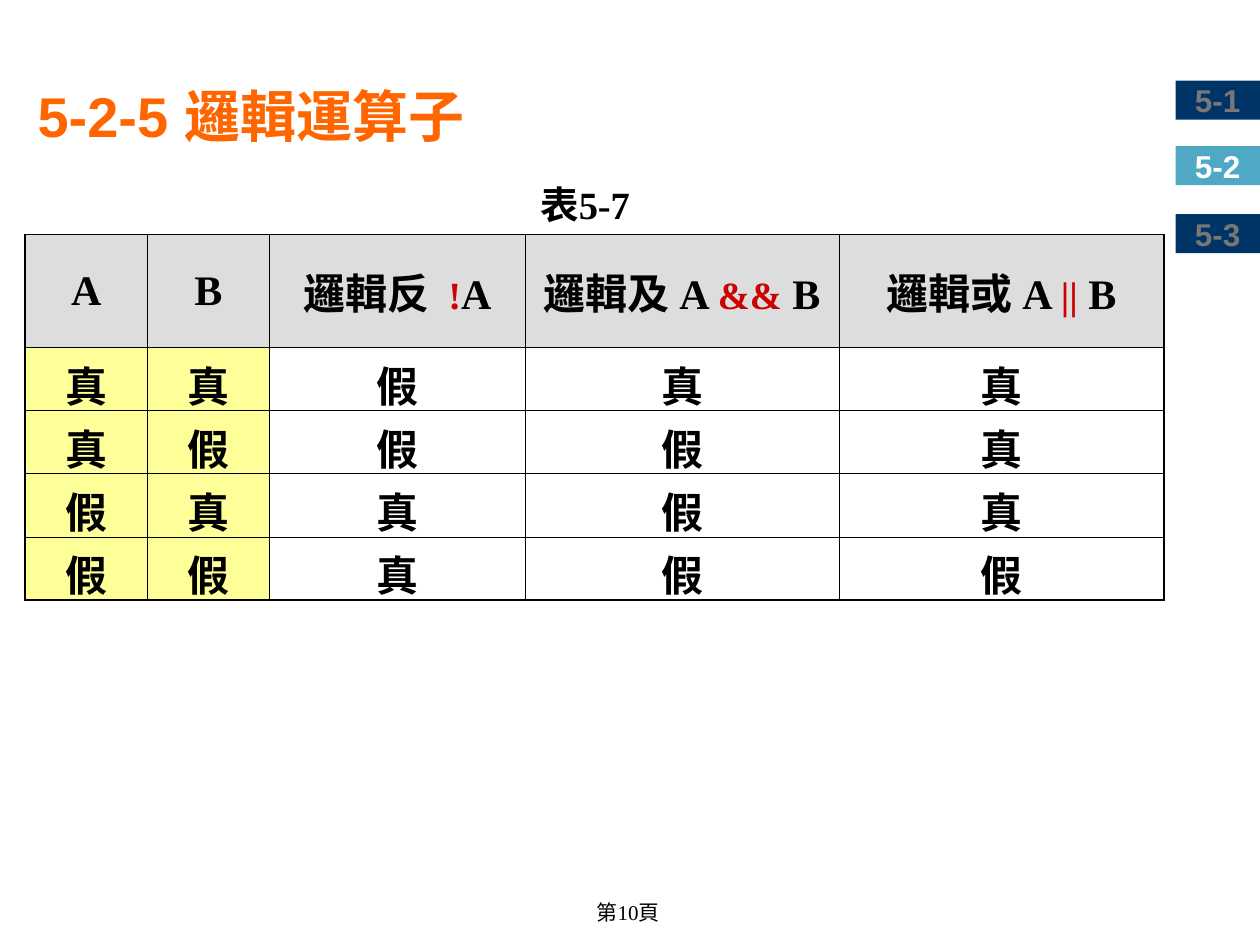
from lxml import etree
from pptx import Presentation
from pptx import util as u
from pptx.dml.color import RGBColor
from pptx.enum import shapes, text
from pptx.oxml.ns import qn

SERIF, SANS = "Times New Roman", "Arial"
BLACK, RED = "000000", "CC0000"
THIN, THICK = 0.45, 0.96

HEADERS = (
    ("A",),
    ("B",),
    ("邏輯反  ", "!", "A"),
    ("邏輯及 A ", "&&", " B"),
    ("邏輯或 A ", "||", " B"),
)
TRUTH_ROWS = ("真真假真真", "真假假假真", "假真真假真", "假假真假假")
COLUMN_WIDTHS = (0.97, 0.97, 2.03, 2.49, 2.58)
ROW_HEIGHTS = (0.9, 0.5, 0.5, 0.5, 0.5)


def color(value):
    return RGBColor.from_string(value)


def style(paragraph, size, face, hue=BLACK, bold=True, align=None):
    font = paragraph.font
    font.size, font.name, font.bold = u.Pt(size), face, bold
    font.color.rgb = color(hue)
    paragraph.alignment = align


def add_label(slide, box, words, wrap=False, **look):
    frame = slide.shapes.add_textbox(*map(u.Inches, box)).text_frame
    frame.word_wrap = wrap
    frame.text = words
    style(frame.paragraphs[0], **look)


def add_section_tabs(slide, left, tops, width, height, current):
    for number, top in enumerate(tops, 1):
        tab = slide.shapes.add_shape(
            shapes.MSO_SHAPE.RECTANGLE, *map(u.Inches, (left, top, width, height)))
        active = number == current
        tab.shadow.inherit = False
        tab.fill.solid()
        tab.fill.fore_color.rgb = color("4FA9C5" if active else "003366")
        tab.line.fill.background()
        frame = tab.text_frame
        frame.word_wrap = False
        frame.vertical_anchor = text.MSO_ANCHOR.MIDDLE
        frame.text = f"5-{number}"
        style(frame.paragraphs[0], 18, SANS, "FFFFFF" if active else "777777",
              align=text.PP_ALIGN.CENTER)


def set_borders(cell, widths):
    """Draw black borders; widths in points for left, right, top, bottom."""
    properties = cell._tc.get_or_add_tcPr()
    for position, (side, width) in enumerate(zip("LRTB", widths)):
        line = etree.Element(qn(f"a:ln{side}"), w=str(u.Pt(width)))
        fill = etree.SubElement(line, qn("a:solidFill"))
        etree.SubElement(fill, qn("a:srgbClr"), val=BLACK)
        properties.insert(position, line)


def fill_cell(cell, parts, background):
    """Write the parts in one paragraph, the middle one as a red operator."""
    cell.vertical_anchor = text.MSO_ANCHOR.MIDDLE
    cell.margin_left = cell.margin_right = u.Inches(0.1)
    cell.margin_top = cell.margin_bottom = u.Inches(0.05)
    if background:
        cell.fill.solid()
        cell.fill.fore_color.rgb = color(background)
    else:
        cell.fill.background()
    paragraph = cell.text_frame.paragraphs[0]
    style(paragraph, 24, SERIF, align=text.PP_ALIGN.CENTER)
    for index, part in enumerate(parts):
        run = paragraph.add_run()
        run.text = part
        if index == 1:
            run.font.size = u.Pt(22)
            run.font.color.rgb = color(RED)


def add_truth_table(slide, left, top):
    rows = (HEADERS, *TRUTH_ROWS)
    last_row, last_column = len(rows) - 1, len(HEADERS) - 1
    table = slide.shapes.add_table(
        len(rows), len(HEADERS), u.Inches(left), u.Inches(top),
        u.Inches(sum(COLUMN_WIDTHS)), u.Inches(sum(ROW_HEIGHTS))).table
    table.horz_banding = False
    for column, width in zip(table.columns, COLUMN_WIDTHS):
        column.width = u.Inches(width)
    for row, height in zip(table.rows, ROW_HEIGHTS):
        row.height = u.Inches(height)
    for r, row in enumerate(rows):
        for c, parts in enumerate(row):
            cell = table.cell(r, c)
            background = "DDDDDD" if r == 0 else "FFFF99" if c < 2 else None
            fill_cell(cell, parts, background)
            outer = (c == 0, c == last_column, r == 0, r == last_row)
            set_borders(cell, [THICK if edge else THIN for edge in outer])


def main():
    deck = Presentation()
    deck.slide_width, deck.slide_height = u.Inches(10), u.Inches(7.5)
    slide = deck.slides.add_slide(deck.slide_layouts[6])
    add_label(slide, (4.35, 7.09, 1.27, 0.3), "第10頁", size=12, face=SERIF,
              bold=False, align=text.PP_ALIGN.CENTER)
    add_section_tabs(slide, 9.33, (0.64, 1.16, 1.7), 0.67, 0.31, current=2)
    add_label(slide, (0.2, 0.6, 9.04, 6.38), "5-2-5 邏輯運算子", wrap=True,
              size=32, face=SANS, hue="FF6600")
    add_label(slide, (4.19, 1.39, 1.1, 0.47), "表5-7", size=22, face=SERIF)
    add_truth_table(slide, 0.2, 1.86)
    deck.save("out.pptx")


if __name__ == "__main__":
    main()
